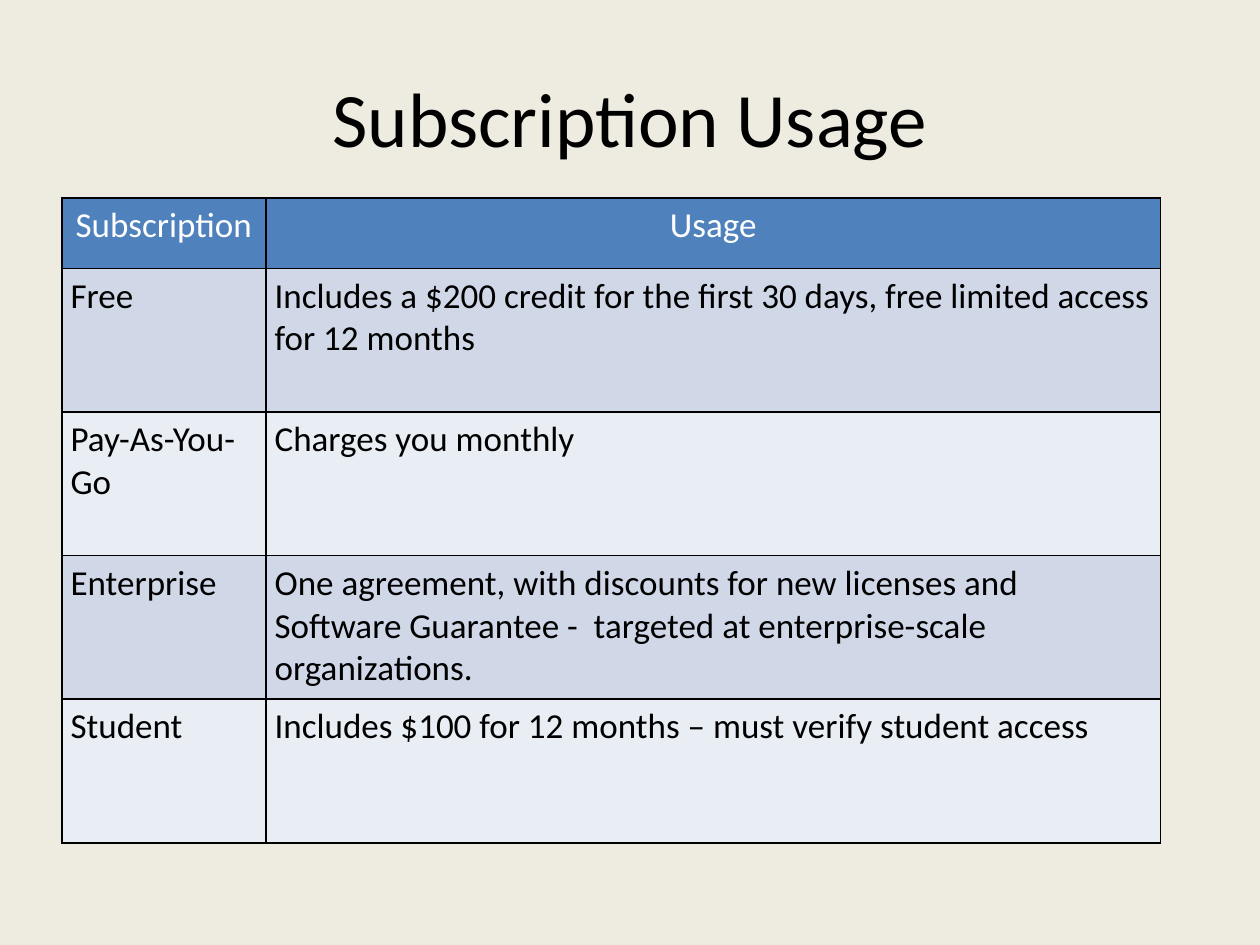
from lxml import etree
from pptx import Presentation
from pptx.dml.color import RGBColor
from pptx.enum import text
from pptx.oxml import ns
from pptx.util import Inches, Pt

# Content
TITLE = "Subscription Usage"
ROWS = [
    ("Subscription", "Usage"),
    ("Free", "Includes a $200 credit for the first 30 days, "
             "free limited access for 12 months"),
    ("Pay-As-You-Go", "Charges you monthly"),
    ("Enterprise", "One agreement, with discounts for new licenses and "
                   "Software Guarantee -  targeted at enterprise-scale organizations."),
    ("Student", "Includes $100 for 12 months – must verify student access"),
]

THEME = {
    "font": "Calibri", "title_size": 44, "cell_size": 20, "border_width": 1,
    "background": "EEECE1", "ink": "000000", "header_ink": "FFFFFF",
    "header": "4F81BD", "bands": ("D0D8E8", "E9EDF4"),
}

# Layout in inches
TABLE_LEFT, TABLE_TOP = 0.49, 1.57
COL_WIDTHS = (1.62, 7.1)
HEADER_HEIGHT, ROW_HEIGHT = 0.56, 1.14


def write(tf, content, size, color=THEME["ink"], align=text.PP_ALIGN.LEFT):
    p = tf.paragraphs[0]
    p.alignment = align
    r = p.add_run()
    r.text = content
    r.font.name = THEME["font"]
    r.font.size = Pt(size)
    r.font.bold = False
    r.font.color.rgb = RGBColor.from_string(color)


def fill(target, color):
    target.fill.solid()
    target.fill.fore_color.rgb = RGBColor.from_string(color)


def add_borders(cell):
    """Put the four lines ahead of the cell fill, as the schema requires."""
    props = cell._tc.get_or_add_tcPr()
    for i, side in enumerate(("lnL", "lnR", "lnT", "lnB")):
        ln = etree.Element(ns.qn(f"a:{side}"), w=str(Pt(THEME["border_width"])))
        solid = etree.SubElement(ln, ns.qn("a:solidFill"))
        etree.SubElement(solid, ns.qn("a:srgbClr"), val=THEME["ink"])
        props.insert(i, ln)


def add_title(slide):
    sp = slide.shapes.title
    sp.left, sp.top, sp.width, sp.height = map(Inches, (0.5, 0.3, 9, 1.25))
    sp.text_frame.vertical_anchor = text.MSO_ANCHOR.MIDDLE
    write(sp.text_frame, TITLE, THEME["title_size"], align=text.PP_ALIGN.CENTER)


def add_usage_table(slide):
    heights = [HEADER_HEIGHT] + [ROW_HEIGHT] * (len(ROWS) - 1)
    table = slide.shapes.add_table(
        len(ROWS), len(COL_WIDTHS), Inches(TABLE_LEFT), Inches(TABLE_TOP),
        Inches(sum(COL_WIDTHS)), Inches(sum(heights))).table
    for column, width in zip(table.columns, COL_WIDTHS):
        column.width = Inches(width)

    for i, (values, height) in enumerate(zip(ROWS, heights)):
        table.rows[i].height = Inches(height)
        is_header = i == 0
        color = THEME["header"] if is_header else THEME["bands"][(i - 1) % 2]
        style = (dict(color=THEME["header_ink"], align=text.PP_ALIGN.CENTER)
                 if is_header else {})
        for j, value in enumerate(values):
            cell = table.cell(i, j)
            cell.margin_left = cell.margin_right = Inches(0.07)
            cell.margin_top = cell.margin_bottom = Inches(0.05)
            fill(cell, color)
            add_borders(cell)
            write(cell.text_frame, value, THEME["cell_size"], **style)


def main():
    prs = Presentation()
    prs.slide_width, prs.slide_height = Inches(10), Inches(7.5)
    slide = prs.slides.add_slide(prs.slide_layouts[5])  # title only
    fill(slide.background, THEME["background"])
    add_title(slide)
    add_usage_table(slide)
    prs.save("out.pptx")


if __name__ == "__main__":
    main()
